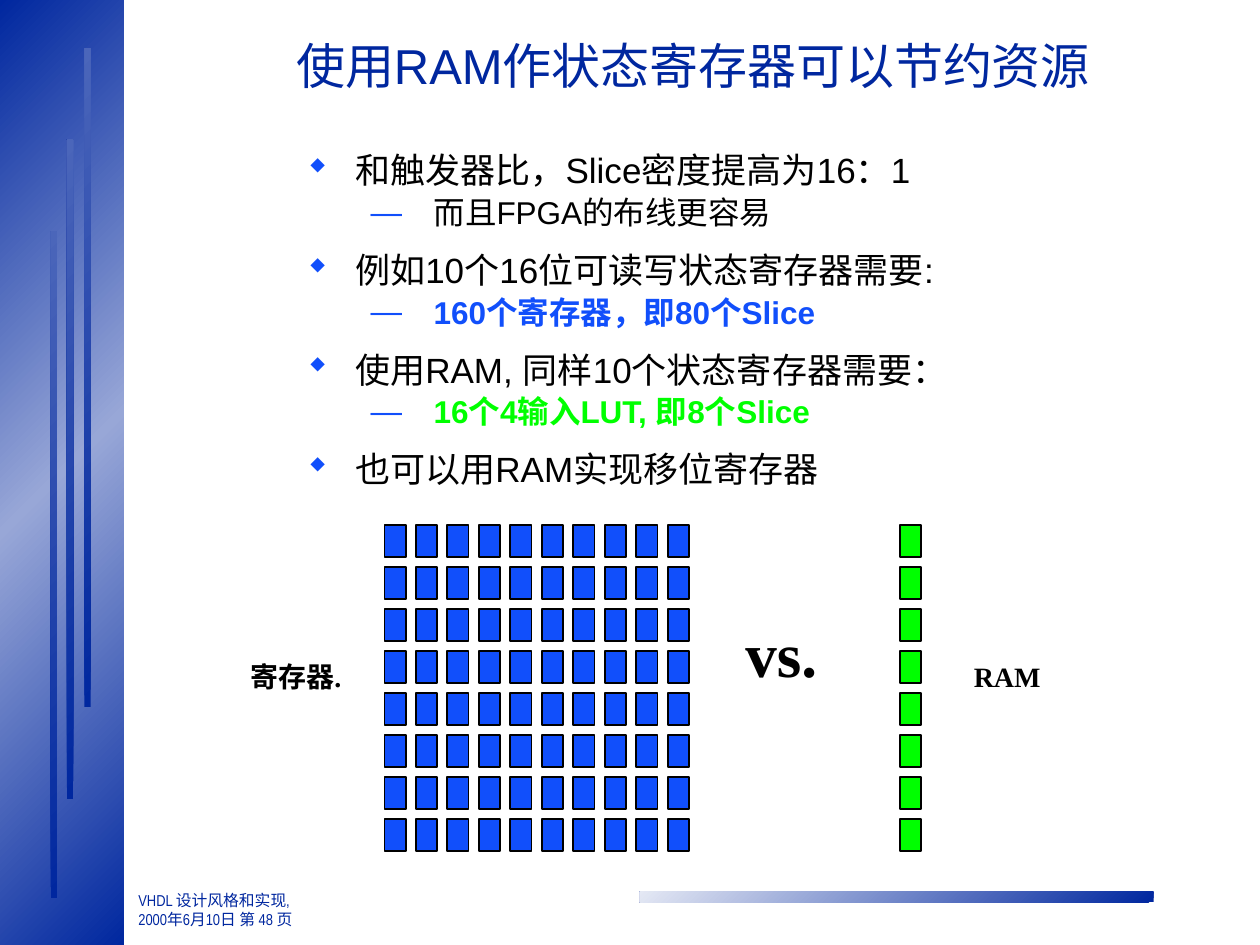
from copy import deepcopy

from lxml import etree
from pptx import Presentation
from pptx.dml.color import RGBColor
from pptx.enum.shapes import MSO_SHAPE as Shape
from pptx.enum.text import MSO_ANCHOR as Anchor, MSO_AUTO_SIZE as AutoSize, PP_ALIGN as Align
from pptx.oxml.ns import qn
from pptx.util import Cm, Pt

NAVY, BLUE, GREEN, BLACK = "00279F", "114FFB", "00FF00", "000000"
STRIP_LIGHT, SIDEBAR_LIGHT, BAR_LIGHT = "4B66BA", "98A7D7", "E4E8F4"

TITLE = "使用RAM作状态寄存器可以节约资源"
FOOTER = ["VHDL 设计风格和实现,", "2000年6月10日 第 48 页"]

# Level, text, colour
POINTS = [
    (0, "和触发器比，Slice密度提高为16：1", BLACK),
    (1, "而且FPGA的布线更容易", BLACK),
    (0, "例如10个16位可读写状态寄存器需要:", BLACK),
    (1, "160个寄存器，即80个Slice", BLUE),
    (0, "使用RAM, 同样10个状态寄存器需要：", BLACK),
    (1, "16个4输入LUT, 即8个Slice", GREEN),
    (0, "也可以用RAM实现移位寄存器", BLACK),
]

# Per level: bullet font and character, left margin (cm), hanging indent (cm),
# size, space before; "w" is the Wingdings diamond
LEVELS = [("Wingdings", "w", 0.96, 0.96, 20, 12.5), ("Arial", "—", 2.54, 1.27, 18, 3.4)]

# Cell grid, in cm
CELL_WIDTH, CELL_HEIGHT = 0.43, 0.64
FIRST_TOP, LAST_TOP, ROWS = 10.59, 16.51, 8
FIRST_LEFT, LAST_LEFT, COLUMNS = 7.75, 13.46, 10
RAM_LEFT = 18.14


def color(value):
    return RGBColor.from_string(value)


def set_font(para, name, size, value, bold=False):
    font = para.font
    font.name, font.size, font.bold = name, Pt(size), bold
    font.color.rgb = color(value)


def add_rect(page, left, top, width, height):
    box = page.shapes.add_shape(Shape.RECTANGLE, Cm(left), Cm(top), Cm(width), Cm(height))
    box.shadow.inherit = False
    return box


def add_gradient_rect(page, left, top, width, height, values):
    """Rectangle shaded from its lower right to its upper left corner."""
    box = add_rect(page, left, top, width, height)
    box.line.fill.background()
    box.fill.gradient()
    box.fill.gradient_angle = 135
    stop_list = box.element.xpath(".//a:gsLst")[0]
    for _ in values[2:]:
        stop_list.append(deepcopy(stop_list[0]))
    for index, (stop, value) in enumerate(zip(box.fill.gradient_stops, values)):
        stop.position = index / (len(values) - 1)
        stop.color.rgb = color(value)


def add_cell(page, left, top, value):
    cell = add_rect(page, left, top, CELL_WIDTH, CELL_HEIGHT)
    cell.fill.solid()
    cell.fill.fore_color.rgb = color(value)
    cell.line.color.rgb = color(BLACK)
    cell.line.width = Pt(1)


def add_text_box(page, left, top, width, height, lines, wrap=True):
    box = page.shapes.add_textbox(Cm(left), Cm(top), Cm(width), Cm(height))
    frame = box.text_frame
    frame.word_wrap = wrap
    frame.text = "\n".join(lines)
    return frame


def add_label(page, left, top, width, height, text, size):
    frame = add_text_box(page, left, top, width, height, [text], wrap=False)
    para = frame.paragraphs[0]
    para.alignment = Align.CENTER
    set_font(para, "Times New Roman", size, BLACK, bold=True)


def add_bullet(para, typeface, char, margin, hanging):
    props = para._p.get_or_add_pPr()
    props.set("marL", str(Cm(margin)))
    props.set("indent", str(-Cm(hanging)))
    bullet_color = etree.SubElement(props, qn("a:buClr"))
    etree.SubElement(bullet_color, qn("a:srgbClr"), val=BLUE)
    etree.SubElement(props, qn("a:buFont"), typeface=typeface)
    etree.SubElement(props, qn("a:buChar"), char=char)


def add_decoration(page):
    add_gradient_rect(page, 12.9, 17.98, 10.36, 0.21, [NAVY, BAR_LIGHT])
    add_gradient_rect(page, 0, 0, 2.5, 19.05, [NAVY, SIDEBAR_LIGHT, NAVY])
    for left, top, height in [(1.02, 4.67, 13.44), (1.35, 2.82, 13.28), (1.7, 0.97, 13.28)]:
        add_gradient_rect(page, left, top, 0.13, height, [NAVY, STRIP_LIGHT])


def add_footer(page):
    frame = add_text_box(page, 2.54, 17.83, 7.62, 1.02, FOOTER)
    for para in frame.paragraphs:
        set_font(para, "Arial Narrow", 9, NAVY)


def format_title(page):
    title = page.shapes.title
    title.left, title.top, title.width, title.height = Cm(2.54), Cm(0.61), Cm(22.86), Cm(1.6)
    frame = title.text_frame
    frame.text = TITLE
    frame.auto_size = AutoSize.NONE
    frame.vertical_anchor = Anchor.MIDDLE
    para = frame.paragraphs[0]
    para.alignment = Align.CENTER
    para.line_spacing = 0.85
    set_font(para, "Arial", 28, NAVY)


def add_points(page):
    frame = add_text_box(page, 3.18, 2.97, 21.29, 7.19, [text for _, text, _ in POINTS])
    frame.margin_left = Cm(3.02)
    for index, (para, (level, _, value)) in enumerate(zip(frame.paragraphs, POINTS)):
        typeface, char, margin, hanging, size, before = LEVELS[level]
        para.level = level
        add_bullet(para, typeface, char, margin, hanging)
        para.line_spacing = 0.9
        para.space_before = Pt(before if index else 0)
        set_font(para, "Arial", size, value, bold=value != BLACK)


def add_comparison(page):
    row_pitch = (LAST_TOP - FIRST_TOP) / (ROWS - 1)
    column_pitch = (LAST_LEFT - FIRST_LEFT) / (COLUMNS - 1)
    for row in range(ROWS):
        top = FIRST_TOP + row * row_pitch
        for column in range(COLUMNS):
            add_cell(page, FIRST_LEFT + column * column_pitch, top, BLUE)
        add_cell(page, RAM_LEFT, top, GREEN)
    add_label(page, 14.77, 12.27, 1.96, 1.78, "vs.", 36)
    add_label(page, 4.74, 13.18, 2.46, 0.94, "寄存器.", 16)
    add_label(page, 19.38, 13.18, 1.85, 0.94, "RAM", 16)


def main():
    deck = Presentation()
    deck.slide_width, deck.slide_height = Cm(25.4), Cm(19.05)
    page = deck.slides.add_slide(deck.slide_layouts[5])  # title only
    add_decoration(page)
    add_footer(page)
    format_title(page)
    add_points(page)
    add_comparison(page)
    deck.save("out.pptx")


if __name__ == "__main__":
    main()
